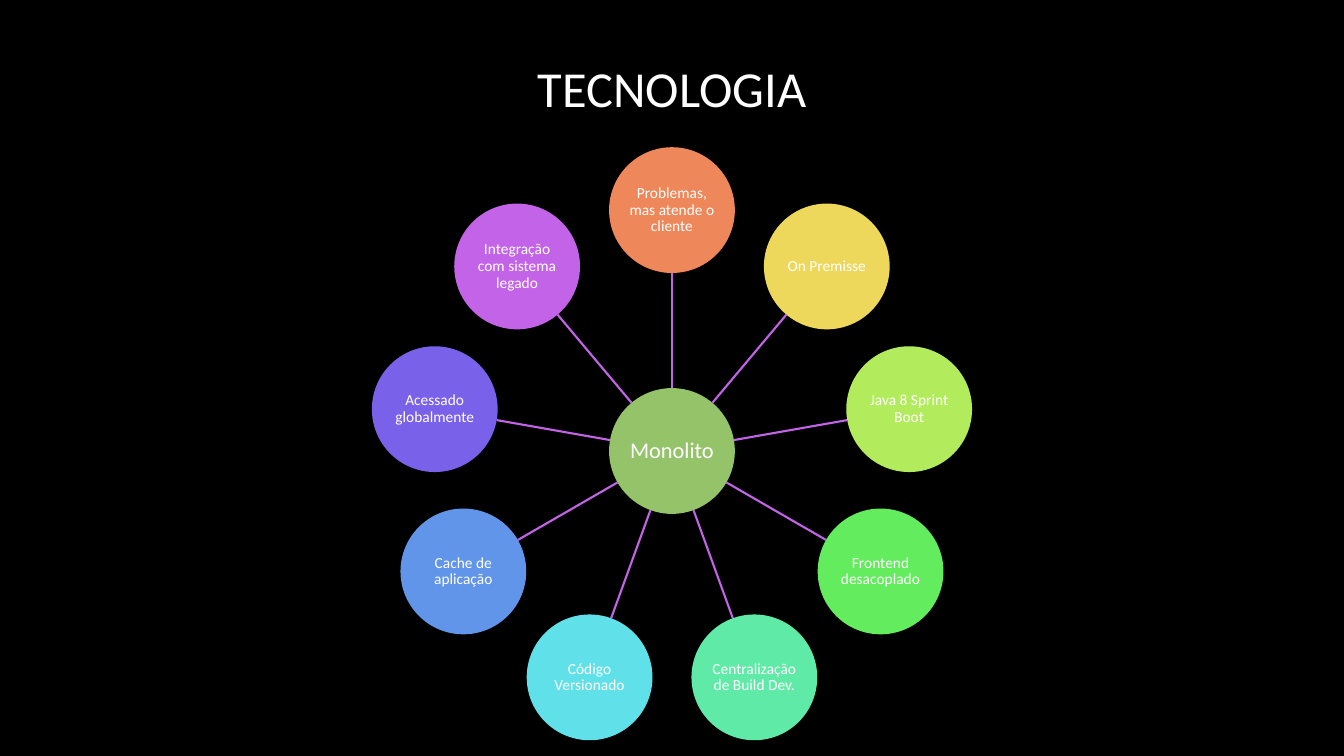
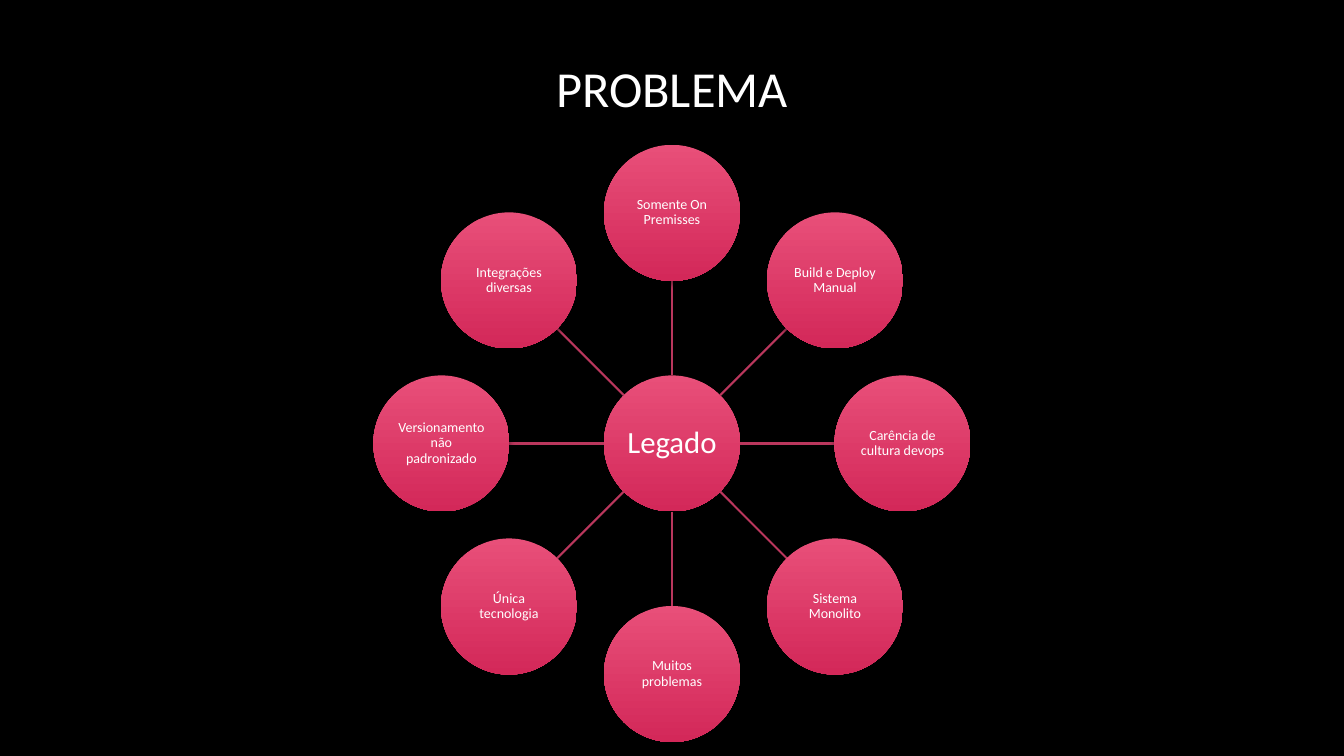
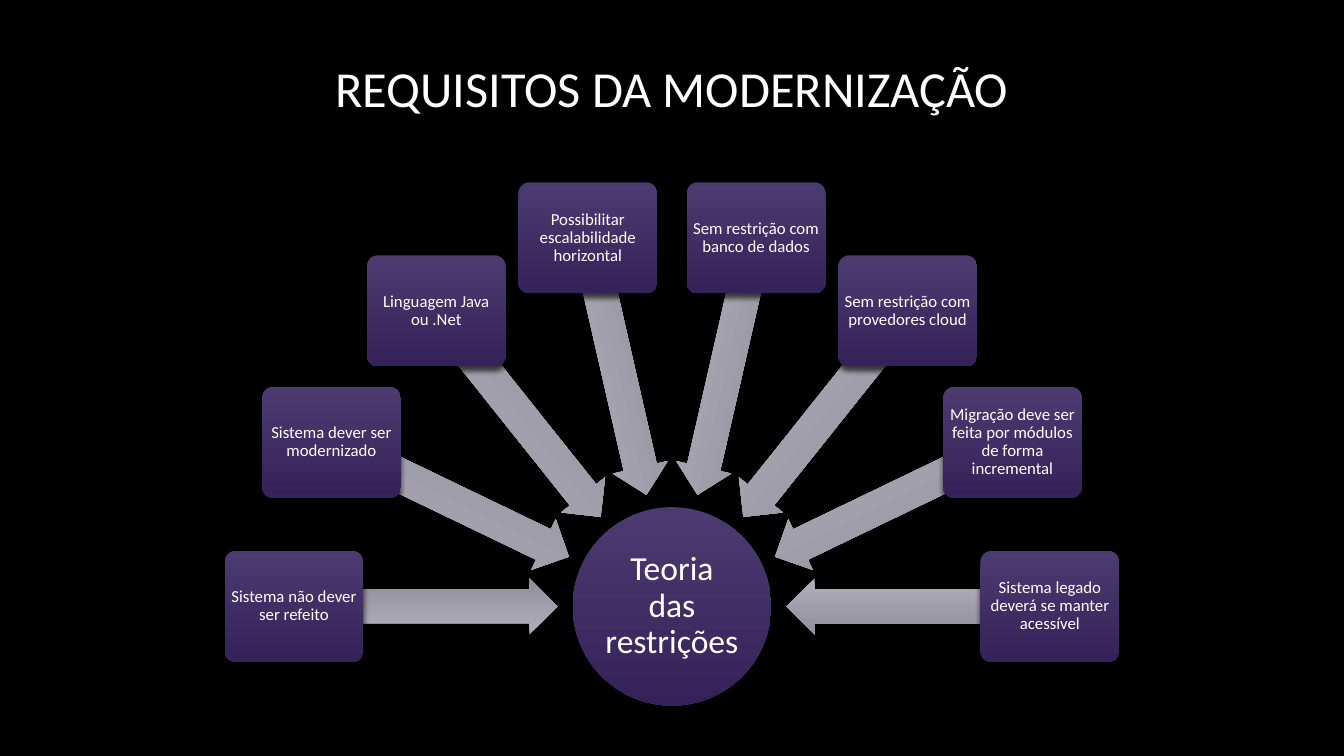
from collections import namedtuple
from math import cos, radians, sin

from lxml import etree
from pptx import Presentation
from pptx.dml.color import RGBColor
from pptx.enum import shapes, text
from pptx.oxml import ns
from pptx.util import Cm, Pt

FONT = "Calibri"
BLACK = RGBColor(0x00, 0x00, 0x00)
WHITE = RGBColor(0xFF, 0xFF, 0xFF)
OLIVE = RGBColor(0x95, 0xC3, 0x69)
ORANGE = RGBColor(0xEE, 0x87, 0x5A)
YELLOW = RGBColor(0xED, 0xD8, 0x5B)
LIME = RGBColor(0xB2, 0xEC, 0x5C)
GREEN = RGBColor(0x63, 0xEC, 0x5D)
MINT = RGBColor(0x5F, 0xEB, 0xA7)
CYAN = RGBColor(0x60, 0xE1, 0xEA)
BLUE = RGBColor(0x61, 0x95, 0xE9)
VIOLET = RGBColor(0x79, 0x62, 0xE9)
MAGENTA = RGBColor(0xC3, 0x63, 0xE8)
ROSE = RGBColor(0xBA, 0x37, 0x5D)
PINKS = (RGBColor(0xE8, 0x4F, 0x79), RGBColor(0xD3, 0x28, 0x59))
PURPLES = (RGBColor(0x4B, 0x3B, 0x70), RGBColor(0x34, 0x22, 0x58))
GRAYS = (RGBColor(0xB2, 0xAF, 0xBB), RGBColor(0x91, 0x8E, 0x9C))

SLIDE_W, SLIDE_H = 33.87, 19.05
Box = namedtuple("Box", "left top width height")
TITLE_BOX = Box(6.68, 0.41, 20.52, 3.56)

TECHNOLOGY = [
    ("Problemas, mas atende o cliente", ORANGE),
    ("On Premisse", YELLOW),
    ("Java 8 Sprint Boot", LIME),
    ("Frontend desacoplado", GREEN),
    ("Centralização de Build Dev.", MINT),
    ("Código Versionado", CYAN),
    ("Cache de aplicação", BLUE),
    ("Acessado globalmente", VIOLET),
    ("Integração com sistema legado", MAGENTA),
]
PROBLEMS = [
    "Somente On Premisses",
    "Build e Deploy Manual",
    "Carência de cultura devops",
    "Sistema Monolito",
    "Muitos problemas",
    "Única tecnologia",
    "Versionamento não padronizado",
    "Integrações diversas",
]
REQUIREMENTS = [
    "Sistema não dever ser refeito",
    "Sistema dever ser modernizado",
    "Linguagem Java ou .Net",
    "Possibilitar escalabilidade horizontal",
    "Sem restrição com banco de dados",
    "Sem restrição com provedores cloud",
    "Migração deve ser feita por módulos de forma incremental",
    "Sistema legado deverá se manter acessível",
]


def polar(x, y, radius, angle):
    """Point at a clockwise angle from the right, in degrees."""
    return x + radius * cos(radians(angle)), y + radius * sin(radians(angle))


def write(shape, words, size, inset=None, spacing=None):
    tf = shape.text_frame
    tf.text = words
    tf.word_wrap = True
    tf.vertical_anchor = text.MSO_ANCHOR.MIDDLE
    if inset is not None:
        tf.margin_left = tf.margin_right = Cm(inset)
        tf.margin_top = tf.margin_bottom = Cm(inset)
    p = tf.paragraphs[0]
    p.alignment = text.PP_ALIGN.CENTER
    p.line_spacing = spacing
    font = p.runs[0].font
    font.name, font.size, font.color.rgb = FONT, Pt(size), WHITE


def add_shadow(shape, opacity):
    effects = shape._element.spPr.find(ns.qn("a:effectLst"))
    shadow = etree.SubElement(
        effects, ns.qn("a:outerShdw"), blurRad=str(Pt(4)), dist=str(Pt(3)),
        dir="5400000", algn="ctr", rotWithShape="0")
    color = etree.SubElement(shadow, ns.qn("a:srgbClr"), val=str(BLACK))
    etree.SubElement(color, ns.qn("a:alpha"), val=str(opacity * 1000))


def add_node(s, kind, center, width, height, fill, opacity=0):
    """Shape around a centre; a pair of colours makes a top-down gradient."""
    x, y = center
    shape = s.shapes.add_shape(kind, Cm(x - width / 2), Cm(y - height / 2),
                               Cm(width), Cm(height))
    shape.shadow.inherit = False
    shape.line.fill.background()
    if isinstance(fill, RGBColor):
        shape.fill.solid()
        shape.fill.fore_color.rgb = fill
    else:
        shape.fill.gradient()
        shape.fill.gradient_angle = 270
        for stop, color in zip(shape.fill.gradient_stops, fill):
            stop.color.rgb = color
    if opacity:
        add_shadow(shape, opacity)
    return shape


def add_spoke(s, start, end, color):
    line = s.shapes.add_connector(shapes.MSO_CONNECTOR.STRAIGHT,
                                  *(Cm(v) for v in start + end))
    line.line.color.rgb = color
    line.line.width = Pt(1.5)
    etree.SubElement(line._element.spPr, ns.qn("a:effectLst"))


def add_wheel(s, box, diameter, hub, items, size, spoke_color, opacity=0):
    """Hub circle with (words, fill) circles around it, clockwise from the top."""
    x, y = box.left + box.width / 2, box.top + box.height / 2
    radius = (box.height - diameter) / 2
    circle = shapes.MSO_SHAPE.OVAL
    words, fill, hub_size = hub
    node = add_node(s, circle, (x, y), diameter, diameter, fill, opacity)
    write(node, words, hub_size, 0.04, 0.9)
    for i, (words, fill) in enumerate(items):
        angle = 360 * i / len(items) - 90
        add_spoke(s, polar(x, y, diameter / 2, angle),
                  polar(x, y, radius - diameter / 2, angle), spoke_color)
        node = add_node(s, circle, polar(x, y, radius, angle),
                        diameter, diameter, fill, opacity)
        write(node, words, size, 0.03, 0.9)


def add_fan(s, box, hub_words, items):
    """Cards on a half circle, each with an arrow to the hub at the bottom."""
    hub_d, card_w, card_h = 5, 3.5, 2.8
    x, y = box.left + box.width / 2, box.top + box.height - hub_d / 2
    radius = (box.width - card_w) / 2
    hub = add_node(s, shapes.MSO_SHAPE.OVAL, (x, y), hub_d, hub_d, PURPLES, 65)
    write(hub, hub_words, 24, 0.04, 0.9)
    for i, words in enumerate(items):
        angle = 180 + 180 * i / (len(items) - 1)
        arrow = add_node(s, shapes.MSO_SHAPE.LEFT_ARROW,
                         polar(x, y, 6.21, angle), 6.65, 1.42, GRAYS, 65)
        arrow.adjustments[0], arrow.adjustments[1] = 0.6, 0.5
        arrow.rotation = angle % 360
        card = add_node(s, shapes.MSO_SHAPE.ROUNDED_RECTANGLE,
                        polar(x, y, radius, angle), card_w, card_h, PURPLES, 65)
        card.adjustments[0] = 0.1
        write(card, words, 12, 0.08, 0.9)


def add_slide(prs, title):
    s = prs.slides.add_slide(prs.slide_layouts[6])
    s.background.fill.solid()
    s.background.fill.fore_color.rgb = BLACK
    write(s.shapes.add_textbox(*(Cm(v) for v in TITLE_BOX)), title, 36)
    return s


def centered_box(top, width, height):
    return Box((SLIDE_W - width) / 2, top, width, height)


def main():
    prs = Presentation()
    prs.slide_width, prs.slide_height = Cm(SLIDE_W), Cm(SLIDE_H)

    s = add_slide(prs, "TECNOLOGIA")
    add_wheel(s, centered_box(3.71, 15.31, 15.31), 3.17,
              ("Monolito", OLIVE, 16), TECHNOLOGY, 11, MAGENTA)

    s = add_slide(prs, "PROBLEMA")
    add_wheel(s, centered_box(3.65, 15.05, 15.05), 3.43,
              ("Legado", PINKS, 22), [(words, PINKS) for words in PROBLEMS],
              10, ROSE, 35)

    s = add_slide(prs, "REQUISITOS DA MODERNIZAÇÃO")
    add_fan(s, centered_box(4.57, 22.55, 13.21), "Teoria das restrições",
            REQUIREMENTS)

    prs.save("out.pptx")


if __name__ == "__main__":
    main()
